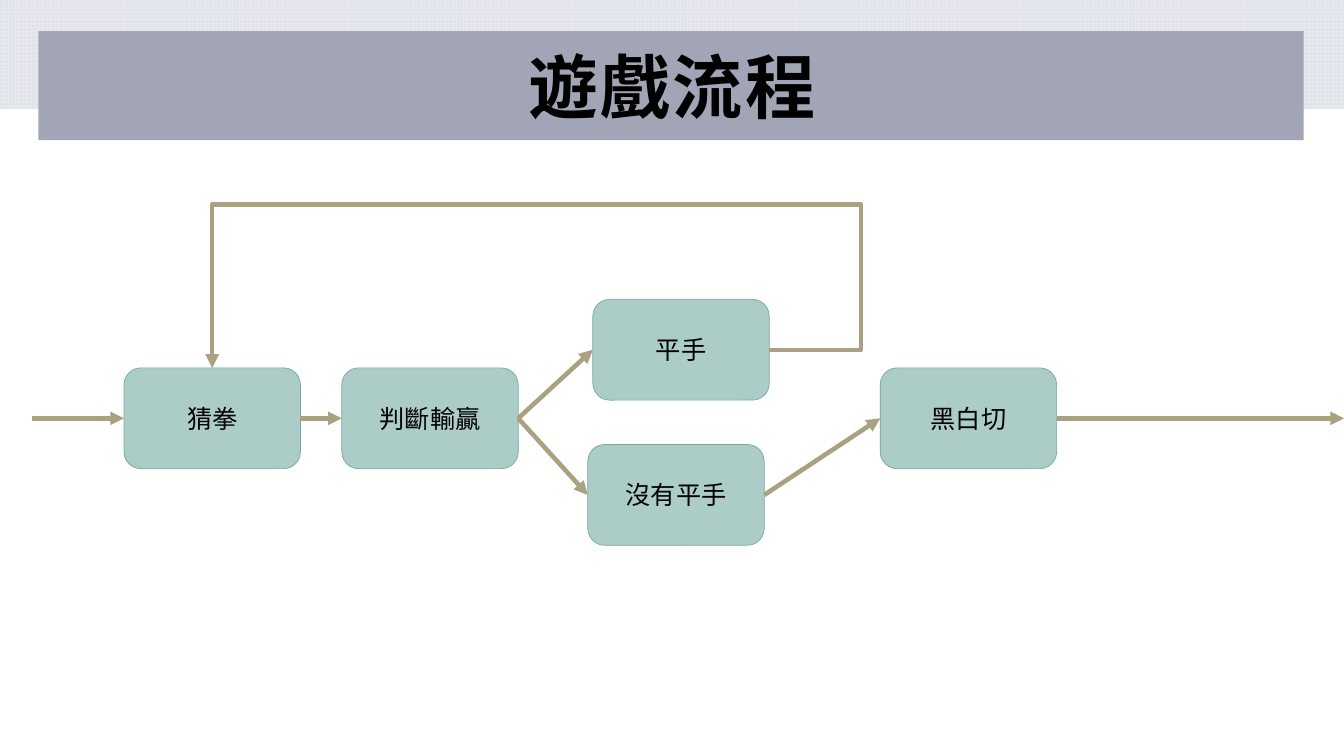
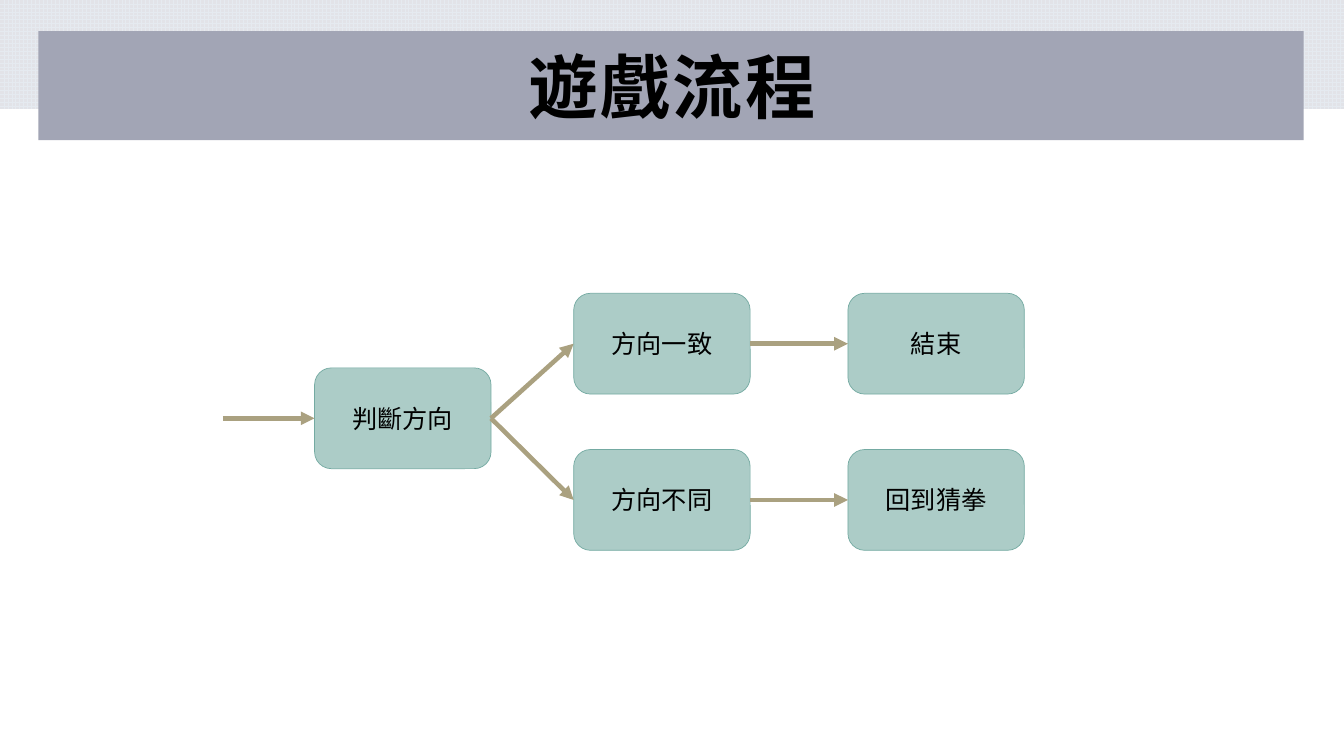
from lxml.etree import SubElement
from pptx import Presentation
from pptx.dml.color import RGBColor
from pptx.enum.dml import MSO_PATTERN
from pptx.enum.shapes import MSO_CONNECTOR as CXN, MSO_SHAPE as SHAPE
from pptx.enum.text import MSO_ANCHOR as ANCHOR, PP_ALIGN as ALIGN
from pptx.oxml.ns import qn
from pptx.util import Inches, Pt

COLORS = {
    "grid": "E5EAF0",
    "grid_back": "E2E3E8",
    "band": "A2A5B5",
    "box": "ACCCC7",
    "box_line": "74AAA2",
    "arrow": "AAA180",
    "text": "000000",
}
FONT = "Noto Sans CJK JP"
SLIDE_W, SLIDE_H = 13.33, 7.5
BOX_W, BOX_H = 1.75, 1
MAIN_Y = 3.65
ENTRY_LENGTH = 0.91
TOP, LEFT, RIGHT = 0, 1, 3


def rgb(name):
    return RGBColor.from_string(COLORS[name])


def write(sp, text, size, bold=False):
    tf = sp.text_frame
    tf.word_wrap = True
    tf.vertical_anchor = ANCHOR.MIDDLE
    tf.text = text
    p = tf.paragraphs[0]
    p.alignment = ALIGN.CENTER
    r = p.runs[0]
    r.font.name = FONT
    r.font.size = Pt(size)
    r.font.bold = bold
    r.font.color.rgb = rgb("text")
    SubElement(r.font._element, qn("a:ea"), typeface=FONT)
    return p


def add_band(s, x, y, w, h):
    sp = s.shapes.add_shape(SHAPE.RECTANGLE, Inches(x), Inches(y), Inches(w), Inches(h))
    sp.shadow.inherit = False
    sp.line.fill.background()
    return sp


def add_title(s, text):
    sp = s.shapes.add_textbox(Inches(0.7), Inches(0.52), Inches(11.93), Inches(0.75))
    p = write(sp, text, 50, bold=True)
    p.line_spacing = 0.9
    p.runs[0].font._element.set("spc", "150")
    tf = sp.text_frame
    tf.margin_left = tf.margin_right = tf.margin_top = Inches(0.12)
    tf.margin_bottom = Inches(0.1)


def add_flow_slide(prs, title):
    s = prs.slides.add_slide(prs.slide_layouts[6])
    fill = add_band(s, 0, 0, SLIDE_W, 1.08).fill
    fill.patterned()
    fill.pattern = MSO_PATTERN.LARGE_GRID
    fill.fore_color.rgb = rgb("grid")
    fill.back_color.rgb = rgb("grid_back")
    fill = add_band(s, 0.38, 0.31, 12.55, 1.08).fill
    fill.solid()
    fill.fore_color.rgb = rgb("band")
    add_title(s, title)
    return s


def add_box(s, text, x, y):
    sp = s.shapes.add_shape(
        SHAPE.ROUNDED_RECTANGLE, Inches(x), Inches(y), Inches(BOX_W), Inches(BOX_H)
    )
    sp.shadow.inherit = False
    sp.fill.solid()
    sp.fill.fore_color.rgb = rgb("box")
    sp.line.color.rgb = rgb("box_line")
    sp.line.width = Pt(0.5)
    write(sp, text, 18)
    return sp


def site_point(sp, site):
    middle = sp.top + sp.height // 2
    return {
        TOP: (sp.left + sp.width // 2, sp.top),
        LEFT: (sp.left, middle),
        RIGHT: (sp.left + sp.width, middle),
    }[site]


def add_arrow(s, start, end, kind=CXN.STRAIGHT):
    cxn = s.shapes.add_connector(kind, *start, *end)
    cxn.line.color.rgb = rgb("arrow")
    cxn.line.width = Pt(3.25)
    SubElement(cxn.line._get_or_add_ln(), qn("a:tailEnd"), type="triangle")
    SubElement(cxn.element.spPr, qn("a:effectLst"))
    return cxn


def link(s, source, target, site=LEFT, kind=CXN.STRAIGHT):
    cxn = add_arrow(s, site_point(source, RIGHT), site_point(target, site), kind)
    cxn.begin_connect(source, RIGHT)
    cxn.end_connect(target, site)
    return cxn


def link_back(s, source, target, turn_x, turn_y):
    cxn = link(s, source, target, TOP, CXN.ELBOW)
    x1, y1 = site_point(source, RIGHT)
    x2, y2 = site_point(target, TOP)
    ratios = (Inches(turn_x) - x1) / (x2 - x1), (Inches(turn_y) - y1) / (y2 - y1)
    geom = cxn.element.spPr.find(qn("a:prstGeom"))
    geom.set("prst", "bentConnector4")
    av = geom.find(qn("a:avLst"))
    for i, ratio in enumerate(ratios, 1):
        SubElement(av, qn("a:gd"), name=f"adj{i}", fmla=f"val {round(ratio * 100000)}")


def add_entry(s, target):
    x, y = site_point(target, LEFT)
    add_arrow(s, (x - Inches(ENTRY_LENGTH), y), (x, y))


def add_exit(s, source):
    x, y = site_point(source, RIGHT)
    add_arrow(s, (x, y), (Inches(SLIDE_W), y))


def build_guess_flow(prs):
    s = add_flow_slide(prs, "遊戲流程")
    guess = add_box(s, "猜拳", 1.23, MAIN_Y)
    judge = add_box(s, "判斷輸贏", 3.39, MAIN_Y)
    tie = add_box(s, "平手", 5.88, 2.97)
    no_tie = add_box(s, "沒有平手", 5.83, 4.41)
    pointing = add_box(s, "黑白切", 8.73, MAIN_Y)
    add_entry(s, guess)
    for source, target in (
        (guess, judge), (judge, tie), (judge, no_tie), (no_tie, pointing)
    ):
        link(s, source, target)
    link_back(s, tie, guess, 8.54, 2.03)
    add_exit(s, pointing)


def build_direction_flow(prs):
    s = add_flow_slide(prs, "遊戲流程")
    judge = add_box(s, "判斷方向", 3.12, MAIN_Y)
    add_entry(s, judge)
    for direction, result, y in (
        ("方向一致", "結束", 2.91),
        ("方向不同", "回到猜拳", 4.46),
    ):
        branch = add_box(s, direction, 5.69, y)
        outcome = add_box(s, result, 8.41, y)
        link(s, judge, branch)
        link(s, branch, outcome)


def main():
    prs = Presentation()
    prs.slide_width = Inches(SLIDE_W)
    prs.slide_height = Inches(SLIDE_H)
    build_guess_flow(prs)
    build_direction_flow(prs)
    prs.save("out.pptx")


if __name__ == "__main__":
    main()
